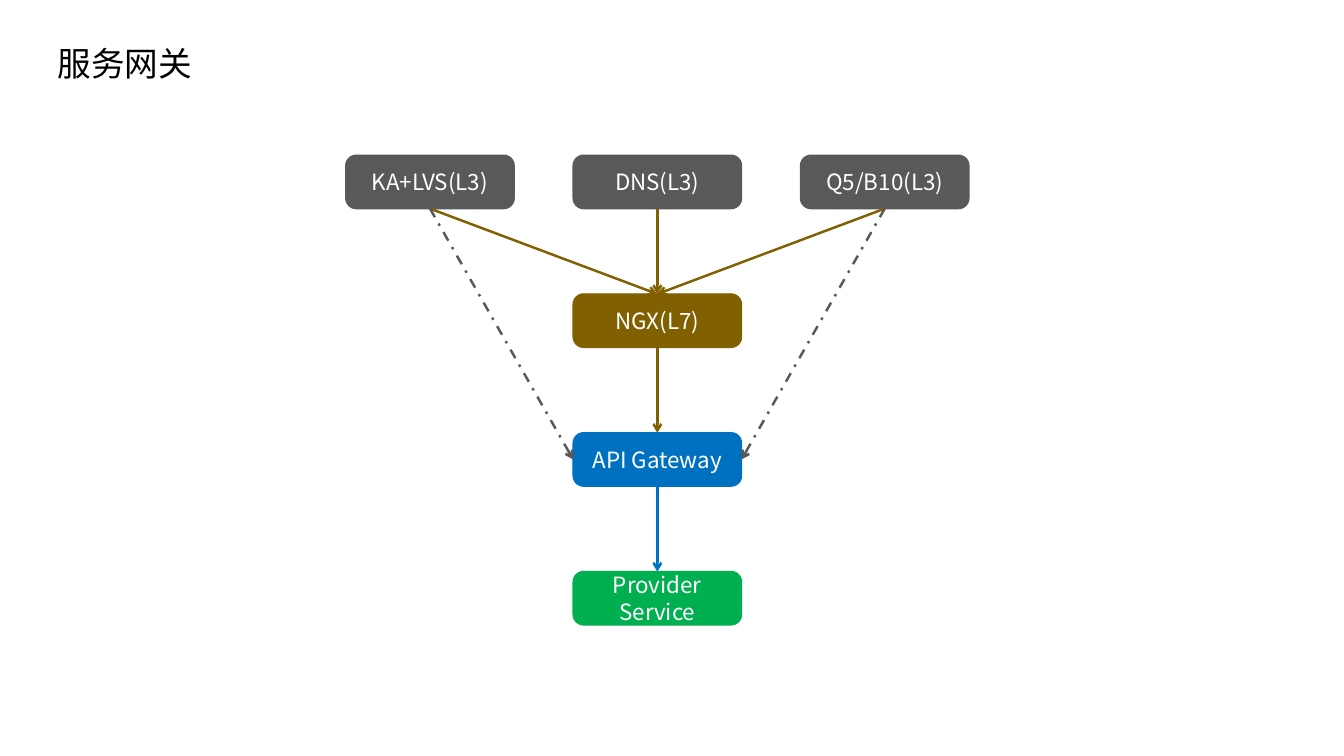
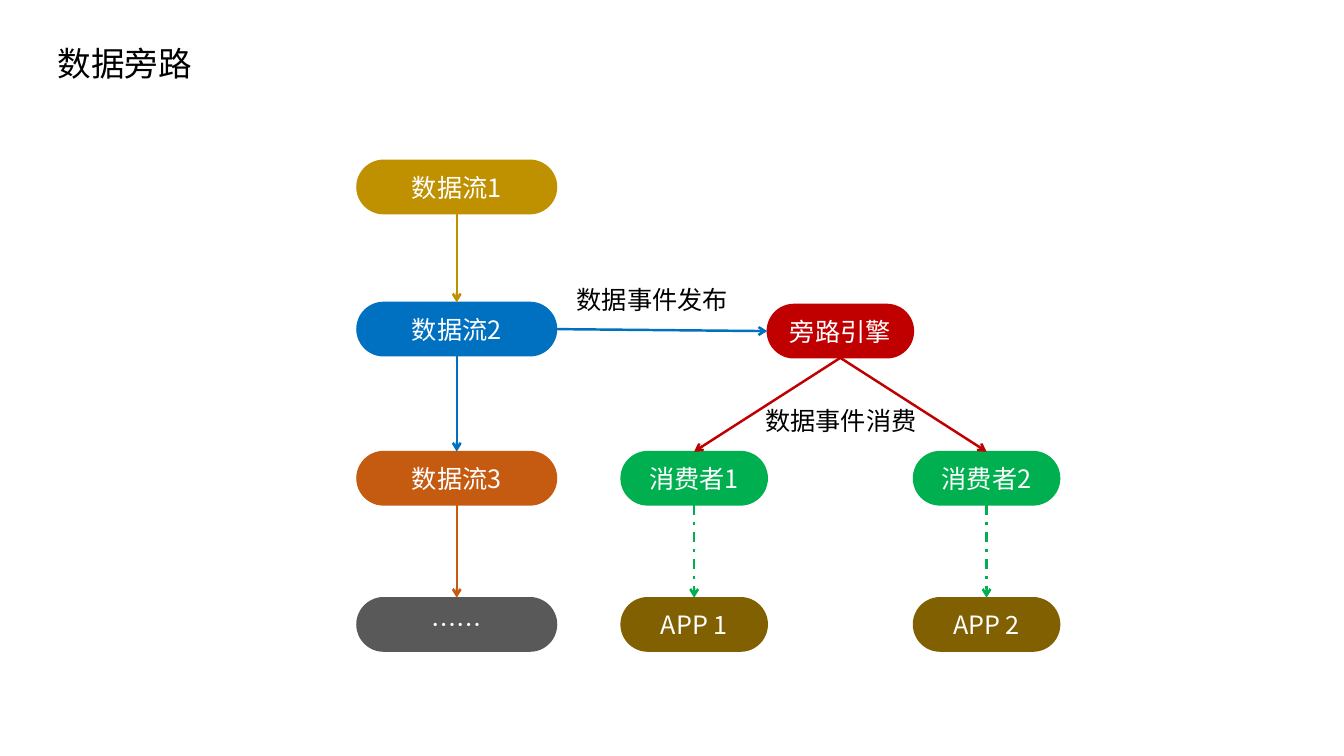
from pptx import Presentation
from pptx.dml.color import RGBColor
from pptx.enum.dml import MSO_LINE_DASH_STYLE as Dash
from pptx.enum.shapes import MSO_CONNECTOR as Connector, MSO_SHAPE as Preset
from pptx.enum.text import MSO_ANCHOR as Anchor, MSO_AUTO_SIZE as AutoSize, PP_ALIGN as Align
from pptx.oxml.ns import qn
from pptx.util import Inches, Pt
from lxml.etree import SubElement

FONT = "Noto Sans CJK SC"
BLACK, WHITE, GREY = "000000", "FFFFFF", "595959"
BROWN, BLUE, GREEN = "806000", "0070C0", "00B050"
GOLD, ORANGE, RED = "BF9000", "C55A11", "C00000"

TOP, LEFT, BOTTOM, RIGHT = range(4)
BOX_HEIGHT = 0.53
TITLE_ONLY = 5

TITLE_FRAME = {"left": Inches(0.47), "top": Inches(0.4), "width": Inches(12.27), "height": Inches(0.5)}
GATEWAY_BOX = {"width": 1.67, "roundness": 0.197, "size": 16}
STREAM_BOX = {"width": 1.98, "roundness": 0.5, "size": 18}
BYPASS_BOX = STREAM_BOX | {"width": 1.45}


def rgb(color):
    return RGBColor.from_string(color)


def apply(target, formats):
    for name, value in formats.items():
        setattr(target, name, value)


def write(shape, text, size, color, align=Align.CENTER, spacing=None):
    shape.text_frame.text = text
    for paragraph in shape.text_frame.paragraphs:
        apply(paragraph, {"alignment": align, "line_spacing": spacing})
        for run in paragraph.runs:
            apply(run.font, {"size": Pt(size), "name": FONT})
            run.font.color.rgb = rgb(color)
            SubElement(run.font._element, qn("a:ea"), typeface=FONT)


def add_titled_slide(presentation, title):
    slide = presentation.slides.add_slide(presentation.slide_layouts[TITLE_ONLY])
    shape = slide.shapes.title
    apply(shape, TITLE_FRAME)
    write(shape, title, 24, BLACK, Align.LEFT, 0.9)
    apply(shape.text_frame, {"vertical_anchor": Anchor.MIDDLE, "word_wrap": True})
    return slide


def add_box(slide, text, color, left, top, width, roundness, size):
    lengths = map(Inches, (left, top, width, BOX_HEIGHT))
    shape = slide.shapes.add_shape(Preset.ROUNDED_RECTANGLE, *lengths)
    shape.adjustments[0] = roundness
    shape.shadow.inherit = False
    shape.fill.solid()
    shape.fill.fore_color.rgb = rgb(color)
    shape.line.color.rgb = rgb(color)
    shape.line.width = Pt(1)
    shape.text_frame.vertical_anchor = Anchor.MIDDLE
    write(shape, text, size, WHITE)
    return shape


def add_arrow(slide, source, target, color, start=BOTTOM, end=TOP, dash=None):
    connector = slide.shapes.add_connector(Connector.STRAIGHT, 0, 0, 0, 0)
    connector.begin_connect(source, start)
    connector.end_connect(target, end)
    connector.line.color.rgb = rgb(color)
    apply(connector.line, {"width": Pt(1.75), "dash_style": dash})
    properties = connector._element.spPr
    SubElement(properties.find(qn("a:ln")), qn("a:tailEnd"), type="arrow")
    SubElement(properties, qn("a:effectLst"))


def add_label(slide, text, left, top):
    label = slide.shapes.add_textbox(*map(Inches, (left, top, 1.72, 0.4)))
    apply(label.text_frame, {"word_wrap": False, "auto_size": AutoSize.SHAPE_TO_FIT_TEXT})
    write(label, text, 18, BLACK)


def build_gateway(presentation):
    slide = add_titled_slide(presentation, "服务网关")
    columns = [3.43 + column * (7.94 - 3.43) / 2 for column in range(3)]
    rows = [1.54 + row * (5.67 - 1.54) / 3 for row in range(4)]

    def box(text, color, column, row):
        return add_box(slide, text, color, columns[column], rows[row], **GATEWAY_BOX)

    entries = [box(text, GREY, column, 0)
               for column, text in enumerate(("KA+LVS(L3)", "DNS(L3)", "Q5/B10(L3)"))]
    proxy = box("NGX(L7)", BROWN, 1, 1)
    gateway = box("API Gateway", BLUE, 1, 2)
    provider = box("Provider\nService", GREEN, 1, 3)

    for entry in entries:
        add_arrow(slide, entry, proxy, BROWN)
    add_arrow(slide, proxy, gateway, BROWN)
    add_arrow(slide, gateway, provider, BLUE)
    for entry, side in ((entries[0], LEFT), (entries[2], RIGHT)):
        add_arrow(slide, entry, gateway, GREY, end=side, dash=Dash.DASH_DOT)


def build_bypass(presentation):
    slide = add_titled_slide(presentation, "数据旁路")
    rows = (1.59, 3, 4.48, 5.93)
    first, engine_left, second = (6.16 + column * BYPASS_BOX["width"] for column in range(3))

    colors = (GOLD, BLUE, ORANGE, GREY)
    texts = ("数据流1", "数据流2", "数据流3", "……")
    streams = [add_box(slide, text, color, 3.54, top, **STREAM_BOX)
               for text, color, top in zip(texts, colors, rows)]
    for source, target, color in zip(streams, streams[1:], colors):
        add_arrow(slide, source, target, color)

    engine = add_box(slide, "旁路引擎", RED, engine_left, 3.02, **BYPASS_BOX)
    add_arrow(slide, streams[1], engine, BLUE, RIGHT, LEFT)
    for number, left in enumerate((first, second), 1):
        consumer = add_box(slide, f"消费者{number}", GREEN, left, rows[2], **BYPASS_BOX)
        app = add_box(slide, f"APP {number}", BROWN, left, rows[3], **BYPASS_BOX)
        add_arrow(slide, engine, consumer, RED)
        add_arrow(slide, consumer, app, GREEN, dash=Dash.DASH_DOT)

    add_label(slide, "数据事件发布", 5.61, 2.77)
    add_label(slide, "数据事件消费", 7.48, 3.97)


def main():
    presentation = Presentation()
    apply(presentation, {"slide_width": Inches(13.33), "slide_height": Inches(7.5)})
    build_gateway(presentation)
    build_bypass(presentation)
    presentation.save("out.pptx")


main()
